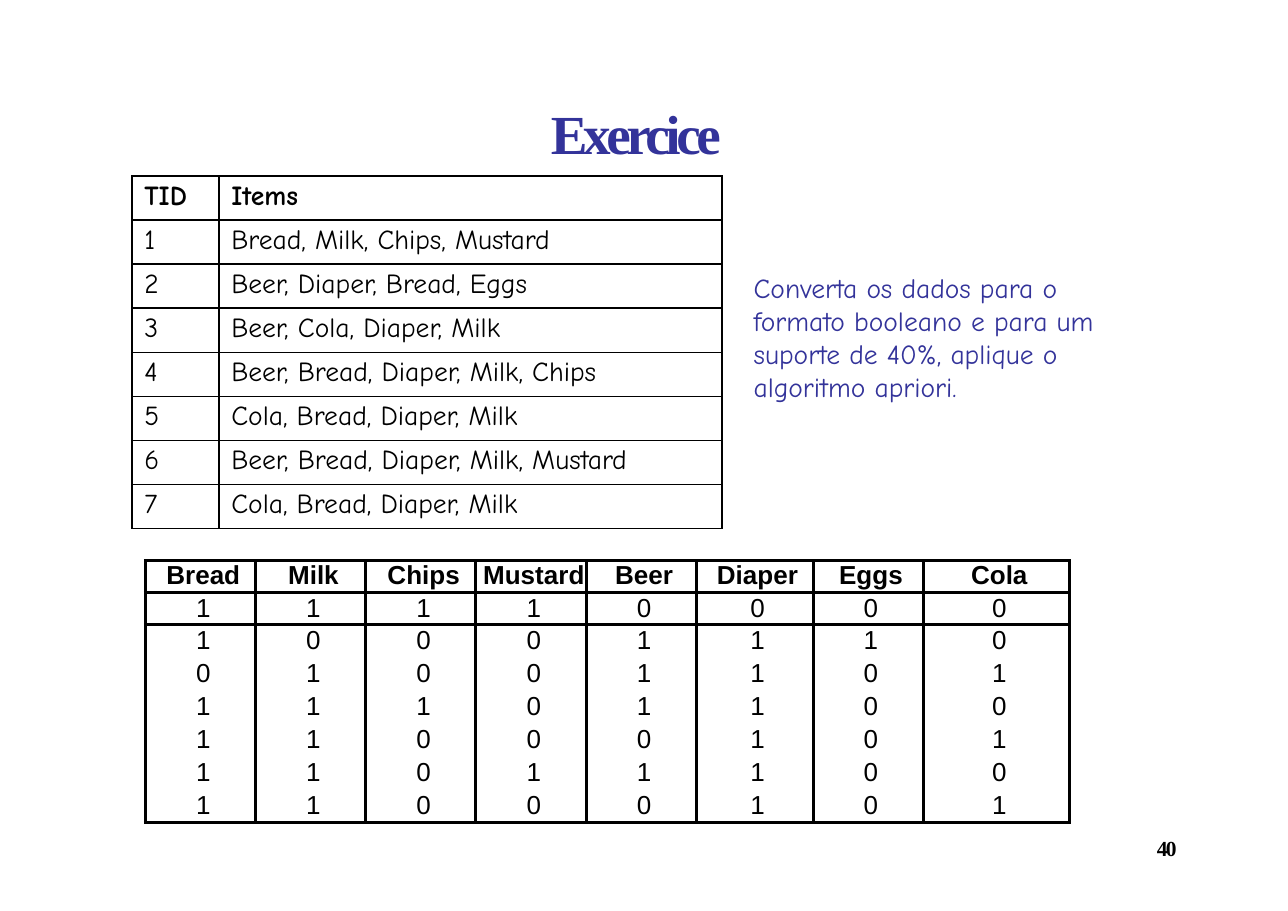
from pptx import Presentation
from pptx.dml.color import RGBColor
from pptx.enum.text import MSO_ANCHOR, PP_ALIGN
from pptx.oxml.ns import qn
from pptx.util import Inches, Pt
from lxml import etree

BLACK = RGBColor(0x00, 0x00, 0x00)
INDIGO = RGBColor(0x33, 0x33, 0x9A)
LEFT, CENTER = PP_ALIGN.LEFT, PP_ALIGN.CENTER
TOP = MSO_ANCHOR.TOP
SERIF, COMIC, SANS = "Times New Roman", "Comic Neue", "Arial"


def write(tf, text, *, font, size, color=BLACK, bold=False, align=LEFT,
          track=0, before=0, line=None, margins=None):
    """Fill a text frame; track, before and line are in points."""
    if margins:
        tf.margin_left, tf.margin_top, tf.margin_right, tf.margin_bottom = map(Inches, margins)
    tf.word_wrap = True
    tf.vertical_anchor = TOP
    p = tf.paragraphs[0]
    p.alignment = align
    p.space_before = Pt(before)
    if line:
        p.line_spacing = Pt(line)
    r = p.add_run()
    r.text = text
    r.font.name, r.font.size, r.font.bold = font, Pt(size), bold
    r.font.color.rgb = color
    if track:
        r._r.get_or_add_rPr().set("spc", str(round(track * 100)))


def style_cell(cell, margins, **widths):
    """Set cell margins and borders L, R, T, B in points; 0 hides a border."""
    cell.margin_left, cell.margin_top, cell.margin_right, cell.margin_bottom = map(Inches, margins)
    tcPr = cell._tc.get_or_add_tcPr()
    for side in "LRTB":
        ln = etree.SubElement(tcPr, qn(f"a:ln{side}"), w=str(Pt(widths[side])))
        if widths[side]:
            fill = etree.SubElement(ln, qn("a:solidFill"))
            etree.SubElement(fill, qn("a:srgbClr"), val=str(BLACK))
        else:
            etree.SubElement(ln, qn("a:noFill"))
    cell.fill.background()


prs = Presentation()
prs.slide_width, prs.slide_height = Inches(11.69), Inches(8.27)
s = prs.slides.add_slide(prs.slide_layouts[5])

# Title
title = s.shapes.title
title.left, title.top, title.width, title.height = map(Inches, (4.99, 0.89, 1.72, 0.63))
write(title.text_frame, "Exercice", font=SERIF, size=36, color=INDIGO, bold=True,
      track=-2.9, before=1, margins=(0.01, 0.01, 0, 0))

# Transactions table
transactions = [
    "Bread, Milk, Chips, Mustard",
    "Beer, Diaper, Bread, Eggs",
    "Beer, Cola, Diaper, Milk",
    "Beer, Bread, Diaper, Milk, Chips",
    "Cola, Bread, Diaper, Milk",
    "Beer, Bread, Diaper, Milk, Mustard",
    "Cola, Bread, Diaper, Milk",
]
rows = [("TID", "Items")] + [(str(i), t) for i, t in enumerate(transactions, 1)]
table = s.shapes.add_table(len(rows), 2, Inches(1.2), Inches(1.6),
                           Inches(5.35), Inches(3.2)).table
table.first_row = table.horz_banding = False
for col, width in zip(table.columns, (0.79, 4.56)):
    col.width = Inches(width)
for i, row in enumerate(rows):
    table.rows[i].height = Inches(0.4)
    for j, text in enumerate(row):
        cell = table.cell(i, j)
        style_cell(cell, (0.11, 0.04, 0, 0), L=1.5, R=1.5,
                   T=1.5 if i < 5 else 1, B=1.5 if i < 4 else 1)
        write(cell.text_frame, text, font=COMIC, size=18, bold=i == 0, before=2.6)
        cell.vertical_anchor = TOP

# Boolean table
items = ["Bread", "Milk", "Chips", "Mustard", "Beer", "Diaper", "Eggs", "Cola"]
flags = ["11110000", "10001110", "01001101", "11101100",
         "11000101", "11011100", "11000101"]
rows = [items] + flags
last = len(rows) - 1
table = s.shapes.add_table(len(rows), len(items), Inches(1.32), Inches(5.09),
                           Inches(8.39), Inches(2.38)).table
table.first_row = table.horz_banding = False
for col, width in zip(table.columns, (1, 1, 1, 1, 1, 1.06, 1, 1.33)):
    col.width = Inches(width)
for i, row in enumerate(rows):
    table.rows[i].height = Inches(0.29 if i < 2 else 0.3)
    for j, text in enumerate(row):
        cell = table.cell(i, j)
        style_cell(cell, (0.05, 0, 0, 0), L=2.25, R=2.25,
                   T=2.25 if i <= 2 else 0, B=2.25 if i < 2 or i == last else 0)
        write(cell.text_frame, text, font=SANS, size=17, bold=i == 0, align=CENTER,
              line=19.1 if i == 0 else 20)
        cell.vertical_anchor = TOP

# Task text
tf = s.shapes.add_textbox(Inches(6.83), Inches(2.45), Inches(3.25), Inches(1.23)).text_frame
write(tf, "Converta os dados para o formato booleano e para um suporte de 40%, "
      "aplique o algoritmo apriori.", font=COMIC, size=18, color=INDIGO,
      before=1, margins=(0.01, 0.01, 0, 0))

# Page number
tf = s.shapes.add_textbox(Inches(10.47), Inches(7.62), Inches(0.25), Inches(0.2)).text_frame
write(tf, "40", font=SERIF, size=14, bold=True, track=-1.1, line=14.3,
      margins=(0.03, 0, 0, 0))

prs.save("out.pptx")
